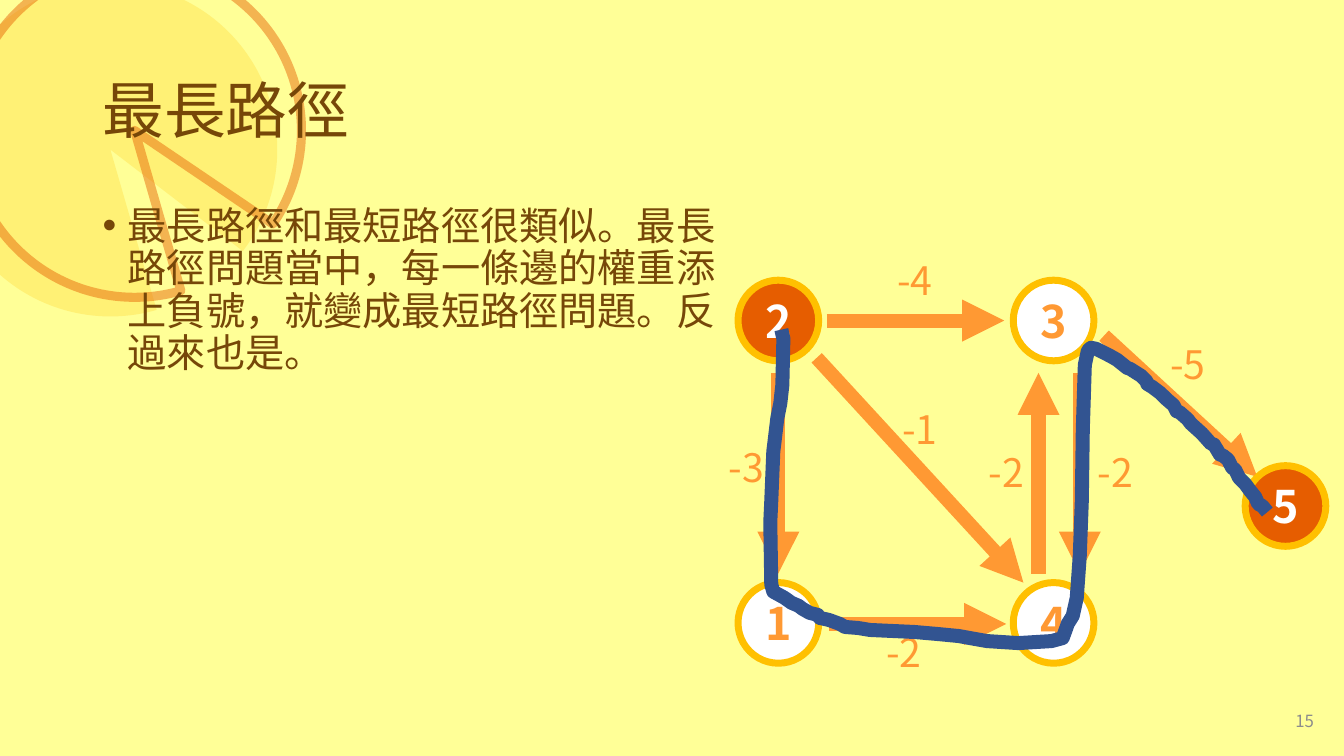
from lxml import etree
from pptx import Presentation
from pptx.dml.color import RGBColor
from pptx.enum.shapes import MSO_CONNECTOR, MSO_SHAPE
from pptx.enum.text import MSO_ANCHOR, PP_ALIGN
from pptx.oxml.ns import qn
from pptx.util import Pt

PX = 9144  # 100 px to the inch
PIE, OVAL = MSO_SHAPE.PIE, MSO_SHAPE.OVAL
STRAIGHT = MSO_CONNECTOR.STRAIGHT
TOP, MIDDLE = MSO_ANCHOR.TOP, MSO_ANCHOR.MIDDLE
LEFT, CENTER, RIGHT = PP_ALIGN.LEFT, PP_ALIGN.CENTER, PP_ALIGN.RIGHT
FONT = "Noto Sans CJK SC"
COLORS = {
    "background": "FFFF97", "gold": "FFC000", "deep": "E65D00", "orange": "FF9933",
    "white": "FFFFFF", "brown": "764708", "blue": "325491", "gray": "8C8C8C",
}


def rgb(name):
    return RGBColor.from_string(COLORS[name])


def write(sp, text, size, color, align=LEFT, anchor=TOP, bold=False, font=FONT):
    """Fill a shape with one styled paragraph and return the paragraph."""
    tf = sp.text_frame
    tf.text = text
    tf.vertical_anchor = anchor
    p = tf.paragraphs[0]
    p.alignment = align
    r = p.runs[0]
    r.font.size = Pt(size)
    r.font.bold = bold
    r.font.name = font
    r.font.color.rgb = rgb(color)
    etree.SubElement(r.font._element, qn("a:ea"), typeface=font)
    return p


prs = Presentation()
prs.slide_width, prs.slide_height = 1333 * PX, 750 * PX
s = prs.slides.add_slide(prs.slide_layouts[6])
s.background.fill.solid()
s.background.fill.fore_color.rgb = rgb("background")
shapes = s.shapes

# Decorative pies: a filled one and an outlined one
for x, y, end, color, alpha in [(-56, -17, 194.14, "gold", 22), (-32, -36, 192.12, "deep", 45)]:
    sp = shapes.add_shape(PIE, x * PX, y * PX, 331 * PX, 331 * PX)
    sp.shadow.inherit = False
    sp.rotation = 73.9
    sp.adjustments[0], sp.adjustments[1] = 0, end
    if color == "gold":
        sp.line.fill.background()
        paint = sp.fill
    else:
        sp.fill.background()
        sp.line.width = Pt(6.5)
        paint = sp.line.fill
    paint.solid()
    paint.fore_color.rgb = rgb(color)
    clr = next(sp._element.spPr.iter(qn("a:srgbClr")))
    etree.SubElement(clr, qn("a:alpha"), val=str(alpha * 1000))

# Edges of the graph: start, end
edges = [
    (772, 370, 772, 569), (820, 318, 996, 318), (822, 619, 998, 619), (1071, 370, 1071, 569),
    (1095, 333, 1247, 473), (810, 355, 1015, 578), (1030, 569, 1030, 370),
]
for edge in edges:
    c = shapes.add_connector(STRAIGHT, *[v * PX for v in edge])
    c.line.width = Pt(10)
    c.line.color.rgb = rgb("orange")
    etree.SubElement(c.line._get_or_add_ln(), qn("a:tailEnd"), type="triangle")
    etree.SubElement(c._element.spPr, qn("a:effectLst"))

# Edge weights
weights = [
    ("-4", 880, 249), ("-1", 885, 397), ("-2", 971, 440), ("-2", 1079, 440),
    ("-5", 1151, 333), ("-2", 869, 618), ("-3", 713, 435),
]
for weight, x, y in weights:
    tb = shapes.add_textbox(x * PX, y * PX, 60 * PX, 57 * PX)
    tb.text_frame.word_wrap = False
    write(tb, weight, 28, "orange")

# Nodes: the two ends of the path are filled
nodes = [
    ("2", 732, 278, "deep", "white"), ("3", 1005, 278, "white", "orange"),
    ("1", 732, 578, "white", "orange"), ("4", 1005, 578, "white", "orange"),
    ("5", 1235, 462, "deep", "white"),
]
for label, x, y, fill, color in nodes:
    sp = shapes.add_shape(OVAL, x * PX, y * PX, 80 * PX, 80 * PX)
    sp.shadow.inherit = False
    sp.fill.solid()
    sp.fill.fore_color.rgb = rgb(fill)
    sp.line.width = Pt(5)
    sp.line.color.rgb = rgb("gold")
    write(sp, label, 32, color, CENTER, MIDDLE, bold=True)

# Title, body and slide number
title = shapes.add_textbox(92 * PX, 40 * PX, 1150 * PX, 145 * PX)
title.text_frame.word_wrap = True
write(title, "最長路徑", 44, "brown", anchor=MIDDLE).line_spacing = 0.9

body = shapes.add_textbox(92 * PX, 200 * PX, 630 * PX, 476 * PX)
body.text_frame.word_wrap = True
p = write(
    body,
    "最長路徑和最短路徑很類似。最長路徑問題當中，每一條邊的權重添上負號，就變成最短路徑問題。反過來也是。",
    28, "brown",
)
p.line_spacing = 0.9
p.space_before = Pt(10)
pPr = p._p.get_or_add_pPr()
pPr.set("marL", str(25 * PX))
pPr.set("indent", str(-25 * PX))
etree.SubElement(pPr, qn("a:buFont"), typeface="Arial")
etree.SubElement(pPr, qn("a:buChar"), char="•")

number = shapes.add_textbox(1013 * PX, 695 * PX, 300 * PX, 40 * PX)
number.text_frame.word_wrap = True
write(number, "15", 12, "gray", RIGHT, MIDDLE, font="Noto Sans CJK TC")

# Hand-drawn longest path 2-1-4-3-5
stroke = [
    (775, 327), (777, 336), (776, 382), (774, 400), (771, 415), (768, 440), (767, 448),
    (765, 497), (764, 518), (765, 580), (767, 587), (778, 593), (785, 598), (792, 601),
    (796, 604), (803, 608), (811, 610), (813, 613), (822, 615), (833, 619), (838, 622),
    (851, 623), (863, 625), (907, 627), (930, 629), (951, 631), (962, 633), (979, 636),
    (1010, 638), (1043, 636), (1054, 633), (1058, 622), (1059, 619), (1064, 611),
    (1068, 593), (1071, 551), (1073, 497), (1074, 426), (1076, 362), (1079, 348),
    (1082, 345), (1087, 346), (1093, 349), (1101, 353), (1108, 357), (1118, 365),
    (1121, 366), (1132, 373), (1137, 378), (1138, 381), (1143, 384), (1151, 390),
    (1157, 396), (1164, 402), (1167, 408), (1170, 409), (1178, 416), (1181, 420),
    (1192, 430), (1201, 440), (1204, 441), (1210, 451), (1213, 452), (1218, 456),
    (1222, 464), (1225, 466), (1229, 474), (1235, 480), (1240, 487), (1245, 493),
    (1248, 500), (1252, 502), (1257, 508),
]
builder = shapes.build_freeform(*stroke[0], scale=PX)
builder.add_line_segments(stroke[1:], close=False)
sp = builder.convert_to_shape()
sp.shadow.inherit = False
sp.fill.background()
sp.line.width = Pt(10)
sp.line.color.rgb = rgb("blue")

prs.save("out.pptx")
